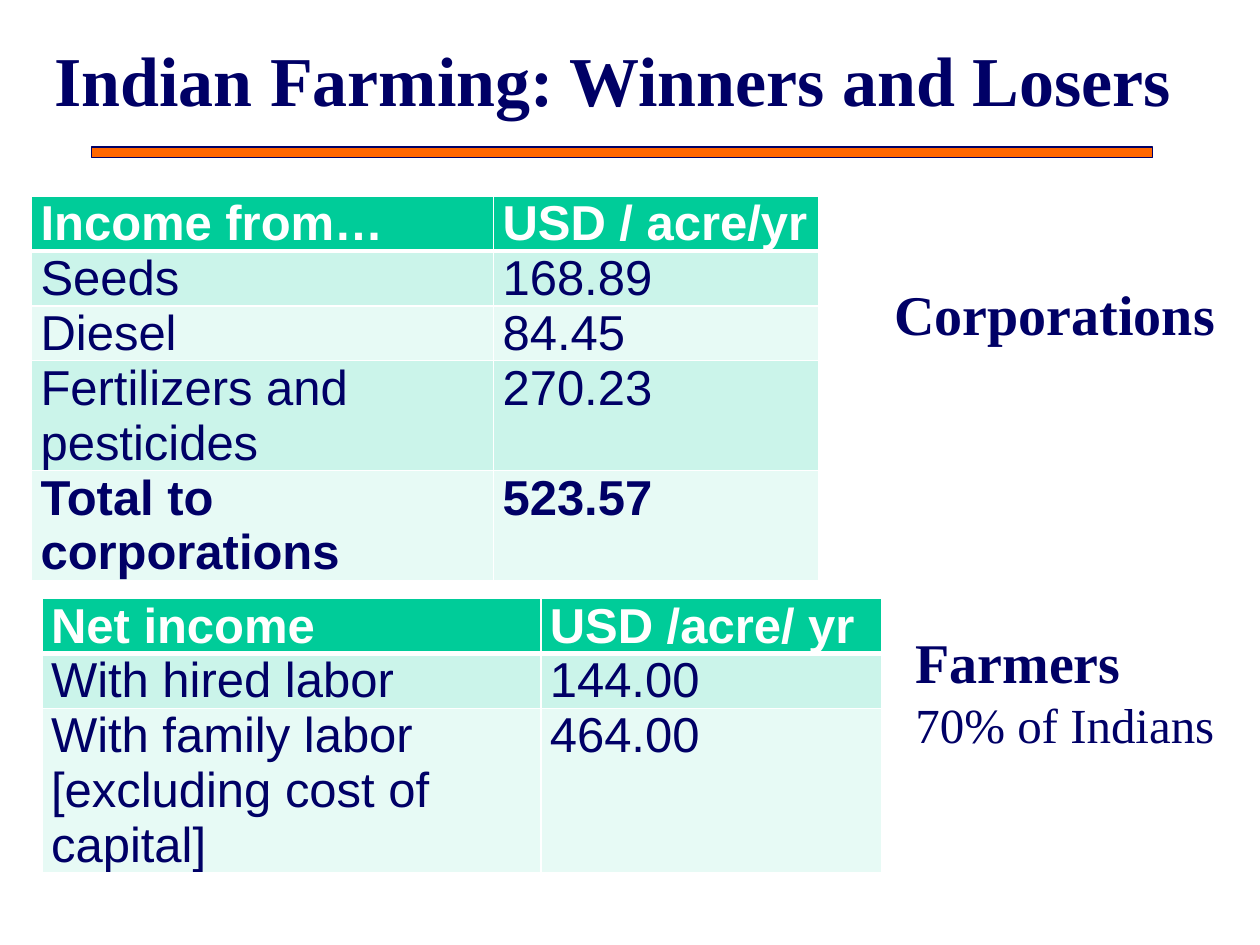
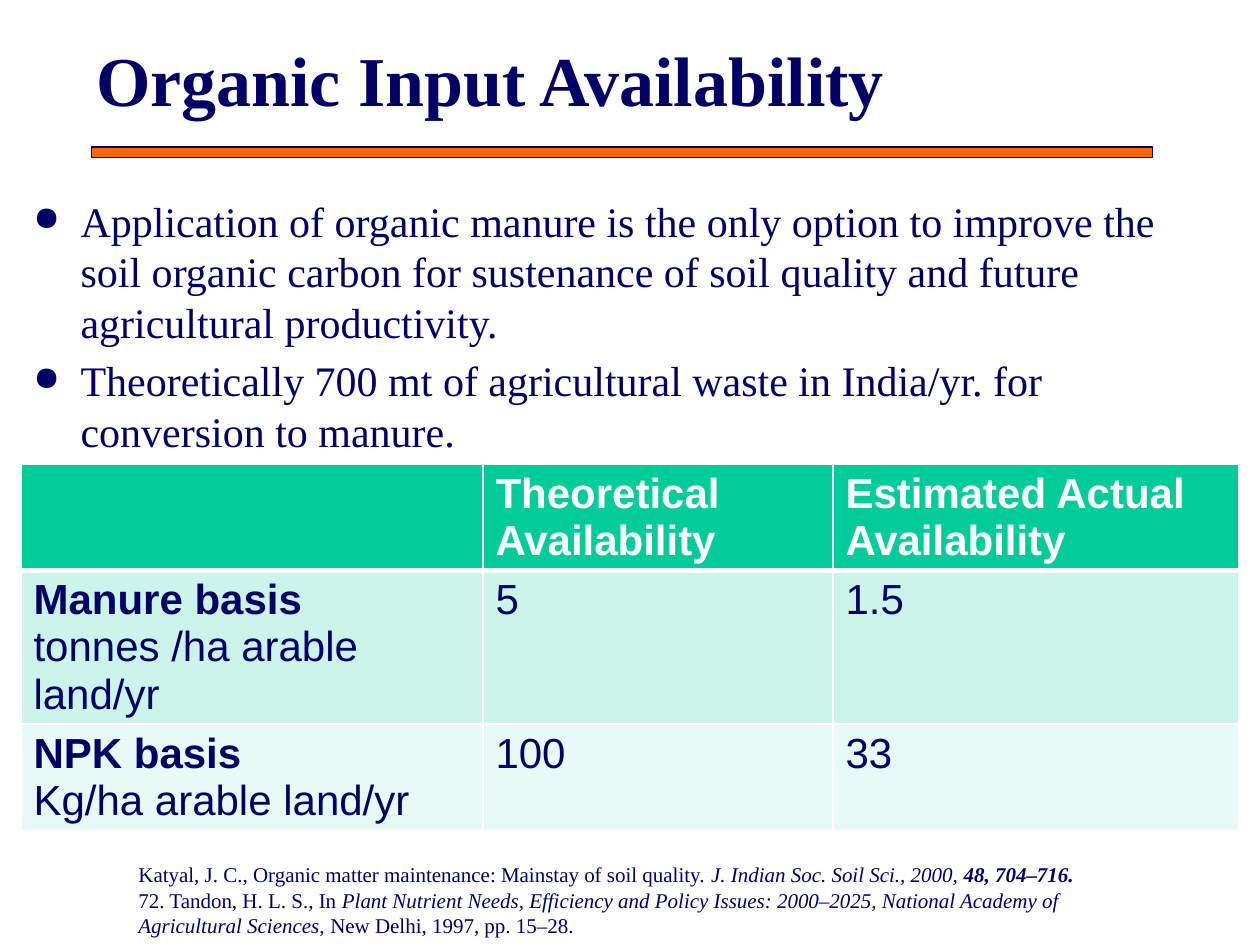
"""Build two slides on Indian farm incomes and organic input availability."""
from lxml import etree
from pptx import Presentation
from pptx.dml.color import RGBColor
from pptx.enum.shapes import MSO_SHAPE
from pptx.enum.text import MSO_ANCHOR
from pptx.oxml.ns import qn
from pptx.util import Pt

RECTANGLE = MSO_SHAPE.RECTANGLE
MIDDLE, TOP = MSO_ANCHOR.MIDDLE, MSO_ANCHOR.TOP
SERIF, SANS = "Times New Roman", "Arial"
TABLE_LEADING = 1.12
COLORS = {"navy": "000066", "orange": "FF6600", "white": "FFFFFF",
          "header": "00CC99", "odd": "CBF4EA", "even": "E7FAF5"}
COLORS = {name: RGBColor.from_string(value) for name, value in COLORS.items()}


def add_text(page, place, lines, anchor=TOP):
    """Add a serif text box; each line is (size, bold, [(text, bold, italic)])."""
    box = page.shapes.add_textbox(*map(Pt, place))
    frame = box.text_frame
    frame.word_wrap = True
    frame.vertical_anchor = anchor
    for index, (size, bold, spans) in enumerate(lines):
        para = frame.paragraphs[0] if index == 0 else frame.add_paragraph()
        para.font.name = SERIF
        para.font.size = Pt(size)
        para.font.bold = bold
        para.font.color.rgb = COLORS["navy"]
        for text, strong, italic in spans:
            span = para.add_run()
            span.text = text
            if strong:
                span.font.bold = True
            if italic:
                span.font.italic = True
    return frame


def add_grid(page, left, top, widths, heights, rows, size, margins, bold_lines):
    """Add a banded table with a green header row above a thick white line."""
    grid = page.shapes.add_table(len(rows), len(widths), Pt(left), Pt(top),
                                 Pt(sum(widths)), Pt(sum(heights))).table
    for column, width in zip(grid.columns, widths):
        column.width = Pt(width)
    for row_number, (row, height) in enumerate(zip(rows, heights)):
        grid.rows[row_number].height = Pt(height)
        band = "header" if row_number == 0 else "odd" if row_number % 2 else "even"
        for column_number, text in enumerate(row):
            cell = grid.cell(row_number, column_number)
            cell.fill.solid()
            cell.fill.fore_color.rgb = COLORS[band]
            cell.margin_left = cell.margin_right = Pt(margins[0])
            cell.margin_top = cell.margin_bottom = Pt(margins[1])
            cell.text = text
            for para in cell.text_frame.paragraphs:
                para.line_spacing = Pt(size * TABLE_LEADING)
                para.font.name = SANS
                para.font.size = Pt(size)
                para.font.bold = row_number == 0 or para.text in bold_lines
                para.font.color.rgb = COLORS["white" if row_number == 0 else "navy"]
            if row_number == 0:
                border = etree.Element(qn("a:lnB"), w=str(Pt(3)))
                paint = etree.SubElement(border, qn("a:solidFill"))
                etree.SubElement(paint, qn("a:srgbClr"), val=str(COLORS["white"]))
                cell._tc.get_or_add_tcPr().insert(0, border)


deck = Presentation()
deck.slide_width, deck.slide_height = Pt(720), Pt(540)
pages = []
for title, left, width in [("Indian Farming: Winners and Losers", 24, 678),
                           ("Organic Input Availability", 48, 612)]:
    page = deck.slides.add_slide(deck.slide_layouts[6])
    page.background.fill.solid()
    page.background.fill.fore_color.rgb = COLORS["white"]
    rule = page.shapes.add_shape(RECTANGLE, Pt(52.5), Pt(84), Pt(606), Pt(6))
    rule.shadow.inherit = False
    rule.fill.solid()
    rule.fill.fore_color.rgb = COLORS["orange"]
    rule.line.color.rgb = COLORS["navy"]
    rule.line.width = Pt(0.75)
    add_text(page, (left, 6, width, 78), [(40, True, [(title, False, False)])], MIDDLE)
    pages.append(page)
farming, organic = pages

net_income = [("Net income", "USD /acre/ yr"),
              ("With hired labor", "144.00"),
              ("With family labor\n[excluding cost of capital]", "464.00")]
add_grid(farming, 24, 342, (285, 195), (30, 30, 90), net_income, 28, (5.2, 0), ())

corporate_income = [("Income from…", "USD / acre/yr"),
                    ("Seeds", "168.89"),
                    ("Diesel", "84.45"),
                    ("Fertilizers and pesticides", "270.23"),
                    ("Total to corporations", "523.57")]
add_grid(farming, 18, 112, (264, 186), (30,) * 5, corporate_income, 28, (5.2, 0),
         corporate_income[-1])

add_text(farming, (504, 156, 198, 85),
         [(32, True, [("Corporations", False, False)])])
add_text(farming, (516, 355, 187, 119),
         [(32, True, [("Farmers", False, False)]),
          (28, False, [("70% of Indians", False, False)])])

points = ["Application of organic manure is the only option to improve the soil organic "
          "carbon for sustenance of soil quality and future agricultural productivity.",
          "Theoretically 700 mt of agricultural waste in India/yr. for conversion to manure."]
body = add_text(organic, (12, 108, 690, 156),
                [(24, False, [(point, False, False)]) for point in points])
body.paragraphs[1].space_before = Pt(4.8)
for para in body.paragraphs:
    settings = para._p.get_or_add_pPr()
    settings.set("marL", str(Pt(27)))
    settings.set("indent", str(Pt(-27)))
    defaults = settings.find(qn("a:defRPr"))
    defaults.addprevious(etree.Element(qn("a:buSzPct"), val="80000"))
    defaults.addprevious(etree.Element(qn("a:buChar"), char="●"))

availability = [("", "Theoretical Availability", "Estimated Actual Availability"),
                ("Manure basis\ntonnes /ha arable land/yr", "5", "1.5"),
                ("NPK basis\nKg/ha arable land/yr", "100", "33")]
add_grid(organic, 12, 265, (264, 200, 232), (30, 73, 30), availability, 24, (7.2, 3.6),
         ("Manure basis", "NPK basis"))

add_text(organic, (72, 489, 600, 51), [
    (12, False, [
        ("Katyal, J. C., Organic matter maintenance: Mainstay of soil quality. ", False, False),
        ("J. Indian Soc. Soil Sci., 2000, ", False, True),
        ("48, 704–716.", True, True)]),
    (12, False, [
        ("72. Tandon, H. L. S., In ", False, False),
        ("Plant Nutrient Needs, Efficiency and Policy Issues: 2000–2025, "
         "National Academy of Agricultural Sciences, ", False, True),
        ("New Delhi, 1997, pp. 15–28.", False, False)])])

deck.save("out.pptx")
